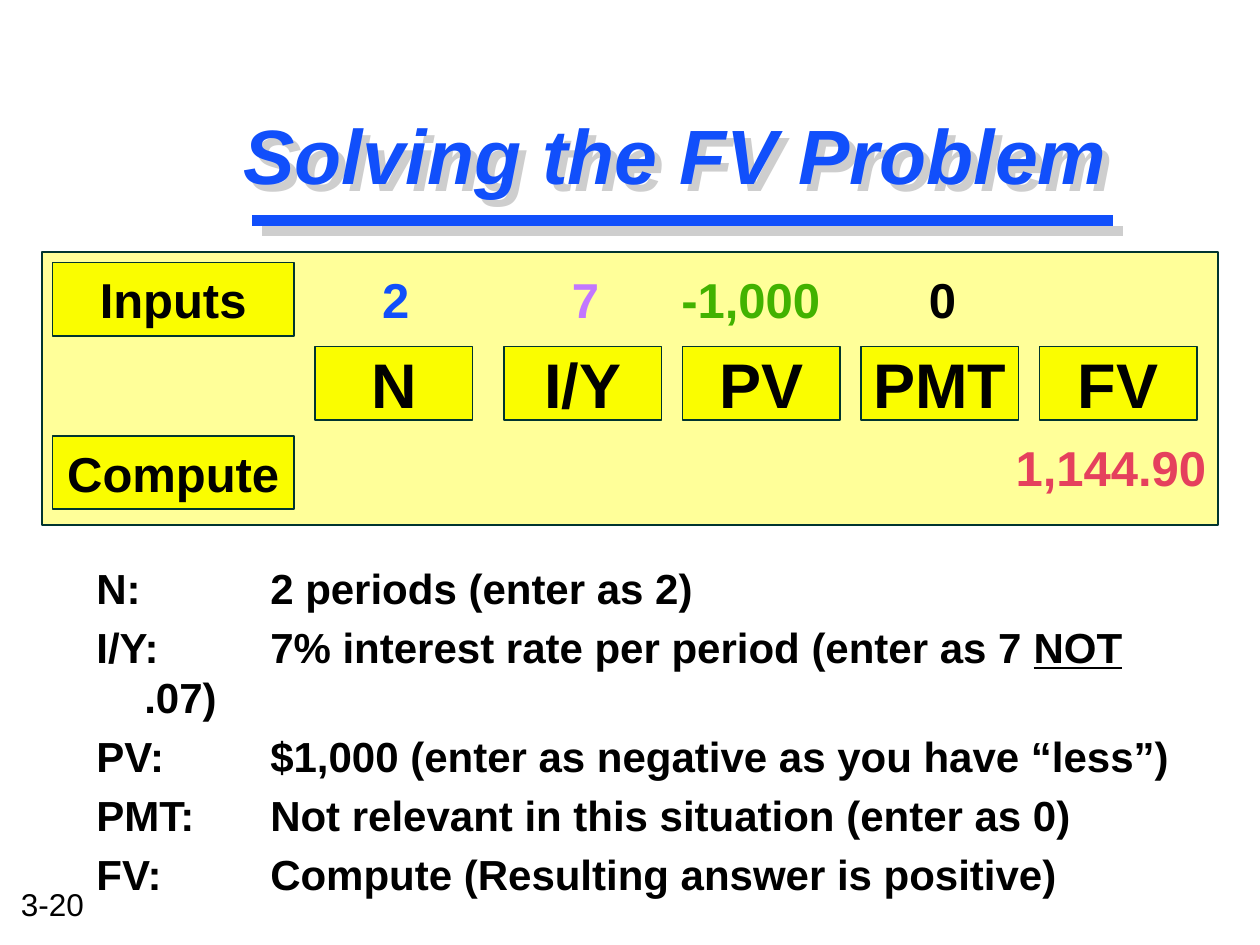
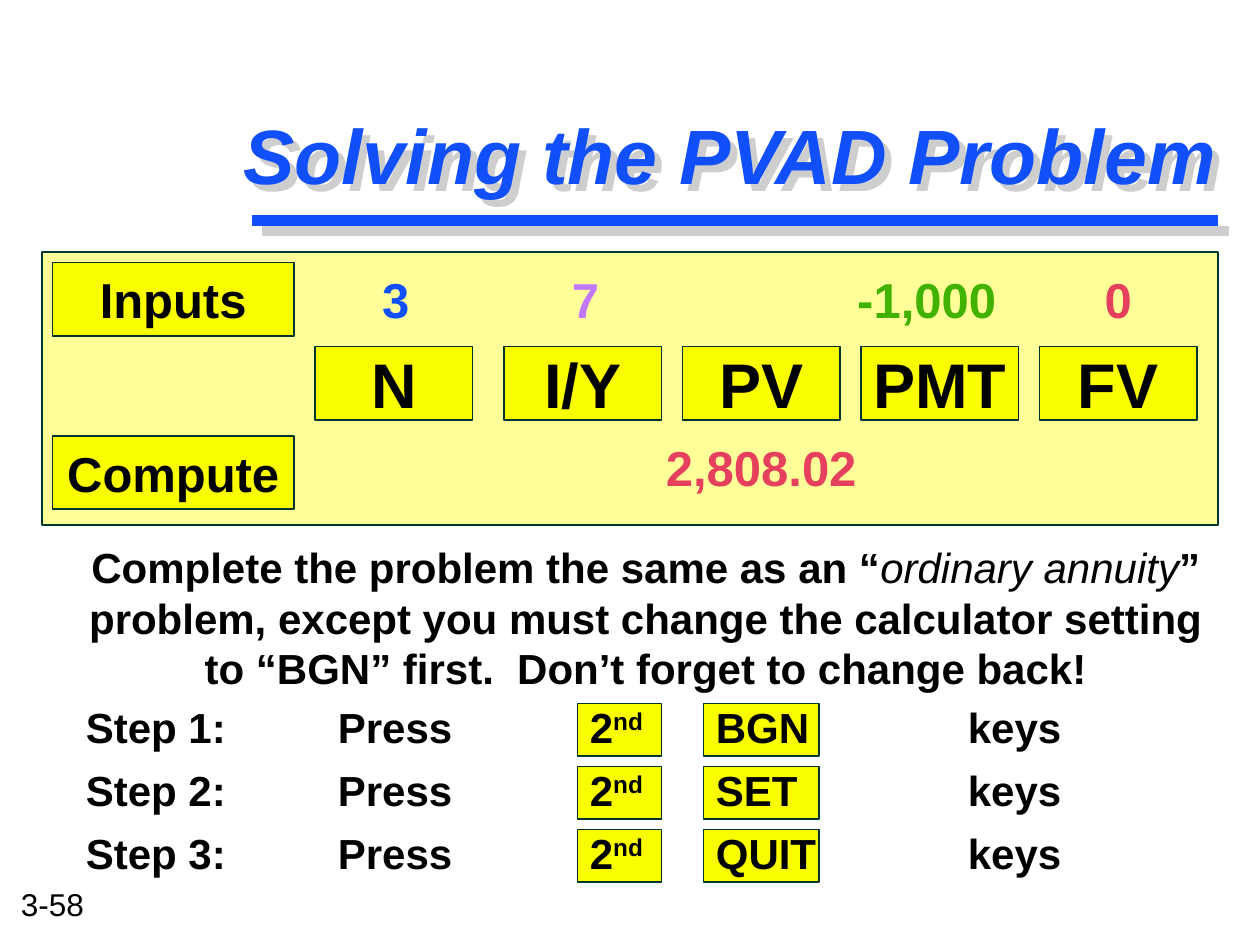
import pptx
import pptx.util
import pptx.dml.color
import pptx.enum.shapes
import pptx.enum.text
import pptx.oxml
import pptx.oxml.ns

CELL = pptx.util.Inches(1) / 12
COLS, ROWS = 120, 90
FONT = "Arial"
BLUE, GREY, BLACK, EDGE = "114FFB", "CECECE", "000000", "003530"
YELLOW, PALE = "FAFD00", "FFFF99"
PURPLE, GREEN, RED = "C277FF", "42B200", "E5405D"
KEY_COLS = {"N": 30, "I/Y": 48, "PV": 65, "PMT": 82, "FV": 99}
KEY_W, KEY_H = 15, 7
INPUT_ROW, KEY_ROW, RESULT_ROW = 25, 33, 41
CENTER = pptx.enum.text.PP_ALIGN.CENTER
MIDDLE = pptx.enum.text.MSO_ANCHOR.MIDDLE


def rgb(value):
    """Turn a hex string into a colour."""
    return pptx.dml.color.RGBColor.from_string(value)


def grid(*cells):
    """Turn grid cells into lengths."""
    return [pptx.util.Emu(round(c * CELL)) for c in cells]


def add_run(p, text, size, color=BLACK, baseline=None, **styles):
    """Add a run with font attributes."""
    r = p.add_run()
    r.text = text
    values = {"name": FONT, "size": pptx.util.Pt(size), "bold": True, **styles}
    for name, value in values.items():
        setattr(r.font, name, value)
    r.font.color.rgb = rgb(color)
    if baseline:
        r.font._element.set("baseline", str(baseline * 1000))


def add_rect(s, box, fill, edge=None, text="", size=28, color=BLACK):
    """Draw a rectangle with centred, unwrapped text."""
    sp = s.shapes.add_shape(pptx.enum.shapes.MSO_SHAPE.RECTANGLE, *grid(*box))
    sp.shadow.inherit = False
    sp.fill.solid()
    sp.fill.fore_color.rgb = rgb(fill)
    if edge:
        sp.line.color.rgb = rgb(edge)
        sp.line.width = pptx.util.Pt(1)
    else:
        sp.line.fill.background()
    if text:
        tf = sp.text_frame
        for side in ("left", "top", "right", "bottom"):
            setattr(tf, f"margin_{side}", 0)
        tf.word_wrap = False
        tf.vertical_anchor = MIDDLE
        p = tf.paragraphs[0]
        p.alignment = CENTER
        add_run(p, text, size, color)


def add_text(s, box, wrap=True):
    """Add an empty text box."""
    sp = s.shapes.add_textbox(*grid(*box))
    sp.text_frame.word_wrap = wrap
    return sp


def add_rule(s, x, y, length, color):
    """Draw a thick horizontal rule."""
    line = s.shapes.add_connector(
        pptx.enum.shapes.MSO_CONNECTOR.STRAIGHT, *grid(x, y, x + length, y))
    line.line.color.rgb = rgb(color)
    line.line.width = pptx.util.Pt(6)
    line._element.spPr.append(pptx.oxml.parse_xml(
        f"<a:effectLst {pptx.oxml.ns.nsdecls('a')}/>"))


def add_title(s, text, length):
    """Add the shadowed title with its double rule."""
    add_rule(s, 25, 22, length, GREY)
    sp = add_text(s, (22, 6.25, 97, 16.8))
    sp.text_frame.vertical_anchor = MIDDLE
    add_run(sp.text_frame.paragraphs[0], text, 44, BLUE, italic=True)
    sp._element.spPr.append(pptx.oxml.parse_xml(
        f"<a:effectLst {pptx.oxml.ns.nsdecls('a')}>"
        '<a:outerShdw dist="72000" dir="2700000" algn="ctr" rotWithShape="0">'
        f'<a:srgbClr val="{GREY}"/></a:outerShdw></a:effectLst>'))
    add_rule(s, 24, 21, length, BLUE)


def add_footer(s, number):
    """Add the page number."""
    sp = add_text(s, (0.8, 83.7, 8.8, 4.8), wrap=False)
    add_run(sp.text_frame.paragraphs[0], number, 18, bold=False)


def add_calculator(s, inputs, result):
    """Draw the calculator panel; values are key, text, colour and nudge."""
    add_rect(s, (4, 24, 112, 26), PALE, EDGE)
    for key, col in KEY_COLS.items():
        add_rect(s, (col, KEY_ROW, KEY_W, KEY_H), YELLOW, EDGE, key, 36)
    for label, row in (("Inputs", INPUT_ROW), ("Compute", 41.5)):
        add_rect(s, (5, row, 23, KEY_H), YELLOW, EDGE, label)
    placed = [(INPUT_ROW, value) for value in inputs] + [(RESULT_ROW, result)]
    for row, (key, text, color, nudge) in placed:
        add_rect(s, (KEY_COLS[key] + nudge, row, KEY_W, KEY_H), PALE,
                 text=text, color=color)


def add_body(s, box, paragraphs):
    """Add paragraphs given as runs plus paragraph formats."""
    tf = add_text(s, box).text_frame
    for i, (runs, formats) in enumerate(paragraphs):
        p = tf.add_paragraph() if i else tf.paragraphs[0]
        pPr = p._p.get_or_add_pPr()
        pPr.set("defTabSz", str(pptx.util.Inches(1)))
        if formats.get("hanging"):
            pPr.set("marL", str(pptx.util.Inches(0.38)))
            pPr.set("indent", str(-pptx.util.Inches(0.38)))
        p.alignment = formats.get("align")
        p.space_before = pptx.util.Pt(formats.get("before", 0))
        p.space_after = pptx.util.Pt(4.8)
        for text, styles in runs:
            add_run(p, text, 24, **styles)


def add_fv_slide(s):
    """Build the future value slide."""
    add_footer(s, "3-20")
    lines = [
        [("N:\t\t2 periods (enter as 2)", {})],
        [("I/Y:\t7% interest rate per period (enter as 7 ", {}),
         ("NOT", {"underline": True}), (" .07)", {})],
        [("PV:\t$1,000 (enter as negative as you have “less”)", {})],
        [("PMT:\tNot relevant in this situation (enter as 0)", {})],
        [("FV:\tCompute (Resulting answer is positive)", {})],
    ]
    add_body(s, (8, 53, 105, 30), [(runs, {"hanging": True}) for runs in lines])
    add_title(s, "Solving the FV Problem", 82)
    add_calculator(
        s,
        [("N", "2", BLUE, 0.2), ("I/Y", "7", PURPLE, 0.25),
         ("PV", "-1,000", GREEN, -1), ("PMT", "0", BLACK, 0.25)],
        ("FV", "1,144.90", RED, -0.7))


def add_pvad_slide(s):
    """Build the annuity due slide."""
    add_footer(s, "3-58")
    add_title(s, "Solving the PVAD Problem", 92)
    add_calculator(
        s,
        [("N", "3", BLUE, 0.2), ("I/Y", "7", PURPLE, 0.25),
         ("PMT", "-1,000", GREEN, -1.25), ("FV", "0", RED, 0)],
        ("PV", "2,808.02", RED, 0))
    paragraphs = [([
        ("Complete the problem the same as an “", {}),
        ("ordinary annuity", {"bold": False, "italic": True}),
        ("” problem, except you must change the calculator setting "
         "to “BGN” first.  Don’t forget to change back!", {}),
    ], {"align": CENTER})]
    for i, key in enumerate(("BGN", "SET", "QUIT")):
        for col, width in ((55, 8), (67, 11)):
            add_rect(s, (col, 67 + 6 * i, width, 5), YELLOW, EDGE)
        paragraphs.append(([
            (f"Step {i + 1}:\tPress\t\t2", {}), ("nd", {"baseline": 30}),
            (f"\t{key}\t\tkeys", {}),
        ], {"before": 2.4 if i else 0}))
    add_body(s, (7, 51, 109, 34), paragraphs)


def main():
    """Build and save the slides."""
    prs = pptx.Presentation()
    prs.slide_width, prs.slide_height = grid(COLS, ROWS)
    for build in (add_fv_slide, add_pvad_slide):
        build(prs.slides.add_slide(prs.slide_layouts[6]))
    prs.save("out.pptx")


if __name__ == "__main__":
    main()
